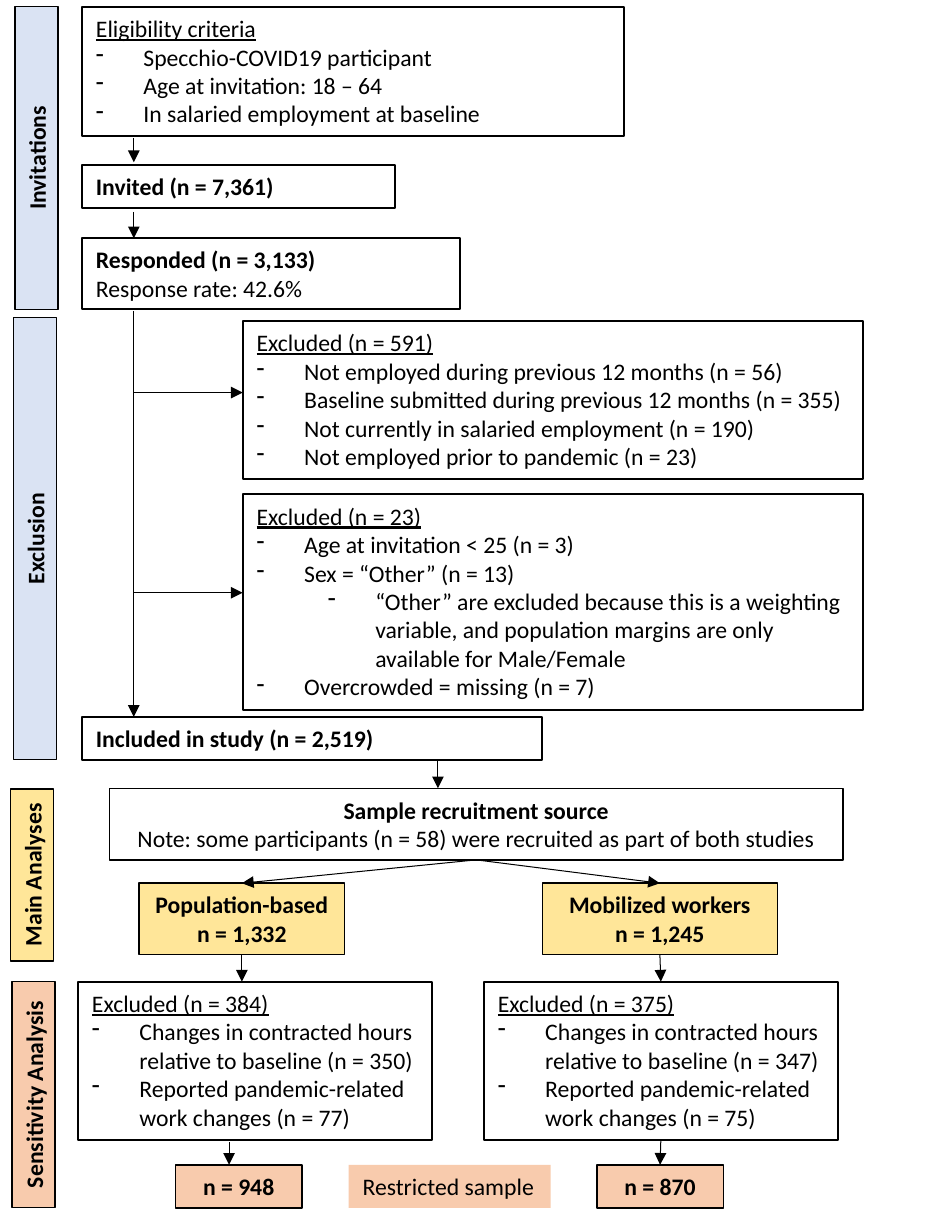
from lxml import etree
from pptx import Presentation
from pptx.dml.color import RGBColor
from pptx.enum.shapes import MSO_CONNECTOR, MSO_SHAPE
from pptx.enum.text import MSO_ANCHOR, PP_ALIGN
from pptx.oxml.ns import qn
from pptx.util import Pt

RECTANGLE = MSO_SHAPE.RECTANGLE
STRAIGHT = MSO_CONNECTOR.STRAIGHT
LEFT, CENTER = PP_ALIGN.LEFT, PP_ALIGN.CENTER
TOP, MIDDLE = MSO_ANCHOR.TOP, MSO_ANCHOR.MIDDLE
BLACK = RGBColor(0x00, 0x00, 0x00)
WHITE = RGBColor(0xFF, 0xFF, 0xFF)
BLUE = RGBColor(0xDA, 0xE3, 0xF3)
YELLOW = RGBColor(0xFF, 0xE6, 0x99)
ORANGE = RGBColor(0xF8, 0xCB, 0xAD)
TOP_SIDE, BOTTOM_SIDE = 0, 2
ROW = 21.8
DOUBLE_ROW = 36.2
TRUNK_X = 67.7


def write(paragraph, text, font="Calibri", size=12, color=BLACK,
          bold=False, underline=False, align=LEFT):
    paragraph.alignment = align
    run = paragraph.add_run()
    run.text = text
    run.font.name = font
    run.font.size = Pt(size)
    run.font.color.rgb = color
    run.font.bold = bold
    run.font.underline = underline


class FlowChart:
    def __init__(self, slide, thin=0.75, thick=1, arrow_weight=0.5, dash_indent=24):
        self.slide = slide
        self.thin = thin
        self.thick = thick
        self.arrow_weight = arrow_weight
        self.dash_indent = dash_indent

    def box(self, left, top, width, height, fill=WHITE, weight=None):
        box = self.slide.shapes.add_shape(
            RECTANGLE, Pt(left), Pt(top), Pt(width), Pt(height))
        box.shadow.inherit = False
        if fill is None:
            box.fill.background()
        else:
            box.fill.solid()
            box.fill.fore_color.rgb = fill
        if weight is None:
            box.line.fill.background()
        else:
            box.line.color.rgb = BLACK
            box.line.width = Pt(weight)
        frame = box.text_frame
        frame.word_wrap = True
        frame.vertical_anchor = TOP
        frame.margin_left = frame.margin_right = Pt(7.2)
        frame.margin_top = frame.margin_bottom = Pt(3.6)
        return box

    def step(self, left, top, width, height, heading, detail=None,
             fill=WHITE, weight=1, align=LEFT, bold=True, detail_bold=False):
        step = self.box(left, top, width, height, fill, weight)
        write(step.text_frame.paragraphs[0], heading, bold=bold, align=align)
        if detail:
            write(step.text_frame.add_paragraph(), detail, bold=detail_bold, align=align)
        return step

    def group(self, left, top, width, height, heading, detail=None, fill=YELLOW):
        return self.step(left, top, width, height, heading, detail, fill=fill,
                         weight=self.thin, align=CENTER, detail_bold=True)

    def stage(self, left, top, height, name, fill):
        stage = self.box(left + (ROW - height) / 2, top + (height - ROW) / 2,
                         height, ROW, fill, self.thin)
        stage.rotation = 270
        frame = stage.text_frame
        frame.vertical_anchor = MIDDLE
        frame.margin_left = frame.margin_right = Pt(0)
        write(frame.paragraphs[0], name, bold=True, align=CENTER)

    def criteria(self, left, top, width, height, heading, items):
        criteria = self.box(left, top, width, height, weight=self.thick)
        frame = criteria.text_frame
        write(frame.paragraphs[0], heading, underline=True)
        for level, text in items:
            paragraph = frame.add_paragraph()
            paragraph.level = level
            write(paragraph, text)
            properties = paragraph._p.get_or_add_pPr()
            properties.set("marL", str(Pt(self.dash_indent + 36 * level)))
            properties.set("indent", str(-Pt(self.dash_indent)))
            etree.SubElement(properties, qn("a:buFontTx"))
            etree.SubElement(properties, qn("a:buChar")).set("char", "-")
        return criteria

    def arrow(self, start, end, source=None, target=None):
        arrow = self.slide.shapes.add_connector(
            STRAIGHT, *(Pt(value) for value in (*start, *end)))
        if source is not None:
            arrow.begin_connect(source, BOTTOM_SIDE)
        if target is not None:
            arrow.end_connect(target, TOP_SIDE)
        arrow.line.color.rgb = BLACK
        arrow.line.width = Pt(self.arrow_weight)
        etree.SubElement(arrow.line._get_or_add_ln(), qn("a:tailEnd")).set("type", "triangle")
        etree.SubElement(arrow._element.spPr, qn("a:effectLst"))


def main():
    deck = Presentation()
    deck.slide_width = Pt(481.7)
    deck.slide_height = Pt(623.5)
    chart = FlowChart(deck.slides.add_slide(deck.slide_layouts[6]))

    for left, top, height, name, fill in (
            (7.6, 3.2, 153.4, "Invitations", BLUE),
            (6.8, 160.6, 223.9, "Exclusion", BLUE),
            (5.4, 399.2, 87.1, "Main Analyses", YELLOW),
            (6.1, 496.6, 114.5, "Sensitivity Analysis", ORANGE)):
        chart.stage(left, top, height, name, fill)

    chart.criteria(41.5, 3.5, 274.5, 65.4, "Eligibility criteria", [
        (0, "Specchio-COVID19 participant"),
        (0, "Age at invitation: 18 – 64"),
        (0, "In salaried employment at baseline")])
    chart.step(41.5, 83.5, 158.5, ROW, "Invited (n = 7,361)")
    chart.step(41.5, 120.4, 191.5, DOUBLE_ROW, "Responded (n = 3,133)", "Response rate: 42.6%")
    chart.criteria(122.8, 162.5, 314, 80, "Excluded (n = 591)", [
        (0, "Not employed during previous 12 months (n = 56)"),
        (0, "Baseline submitted during previous 12 months (n = 355)"),
        (0, "Not currently in salaried employment (n = 190)"),
        (0, "Not employed prior to pandemic (n = 23)")])
    chart.criteria(122.8, 250.2, 314, 109, "Excluded (n = 23)", [
        (0, "Age at invitation < 25 (n = 3)"),
        (0, "Sex = “Other” (n = 13)"),
        (1, "“Other” are excluded because this is a weighting variable, "
            "and population margins are only available for Male/Female"),
        (0, "Overcrowded = missing (n = 7)")])
    chart.step(41.5, 362.8, 233, ROW, "Included in study (n = 2,519)")

    for start_y, end_y in ((69.8, 82.1), (107.3, 120.6), (157.4, 362.8)):
        chart.arrow((TRUNK_X, start_y), (TRUNK_X, end_y))
    for branch_y in (198.7, 300):
        chart.arrow((TRUNK_X, branch_y), (122.8, branch_y))

    recruitment = chart.step(
        55.4, 399, 371.2, DOUBLE_ROW, "Sample recruitment source",
        "Note: some participants (n = 58) were recruited as part of both studies",
        fill=None, weight=chart.thin, align=CENTER)
    chart.arrow((221.6, 384.6), (221.6, 399))

    population = chart.group(70.4, 447, 104, DOUBLE_ROW, "Population-based", "n = 1,332")
    mobilized = chart.group(274.4, 447, 119, DOUBLE_ROW, "Mobilized workers", "n = 1,245")
    population_excluded, mobilized_excluded = (
        chart.criteria(left, 496.8, 179.2, 80, f"Excluded (n = {total})", [
            (0, f"Changes in contracted hours relative to baseline (n = {hours})"),
            (0, f"Reported pandemic-related work changes (n = {changes})")])
        for left, total, hours, changes in ((39.5, 384, 350, 77), (244.8, 375, 347, 75)))
    chart.group(88.8, 589.5, 64, ROW, "n = 948", fill=ORANGE)
    mobilized_sample = chart.group(302, 589.5, 64, ROW, "n = 870", fill=ORANGE)
    chart.step(176.4, 589.5, 102.2, ROW, "Restricted sample", fill=ORANGE,
               weight=None, bold=False)

    chart.arrow((241, 435.2), (122.4, 447), recruitment, population)
    chart.arrow((241, 435.2), (333.9, 447), recruitment, mobilized)
    chart.arrow((122.4, 483.2), (122.4, 496.8), population)
    chart.arrow((333.9, 483.2), (334.4, 496.8), mobilized, mobilized_excluded)
    chart.arrow((115.9, 578.2), (115.9, 589.5))
    chart.arrow((334.4, 576.8), (334, 589.5), mobilized_excluded, mobilized_sample)

    deck.save("out.pptx")


if __name__ == "__main__":
    main()
